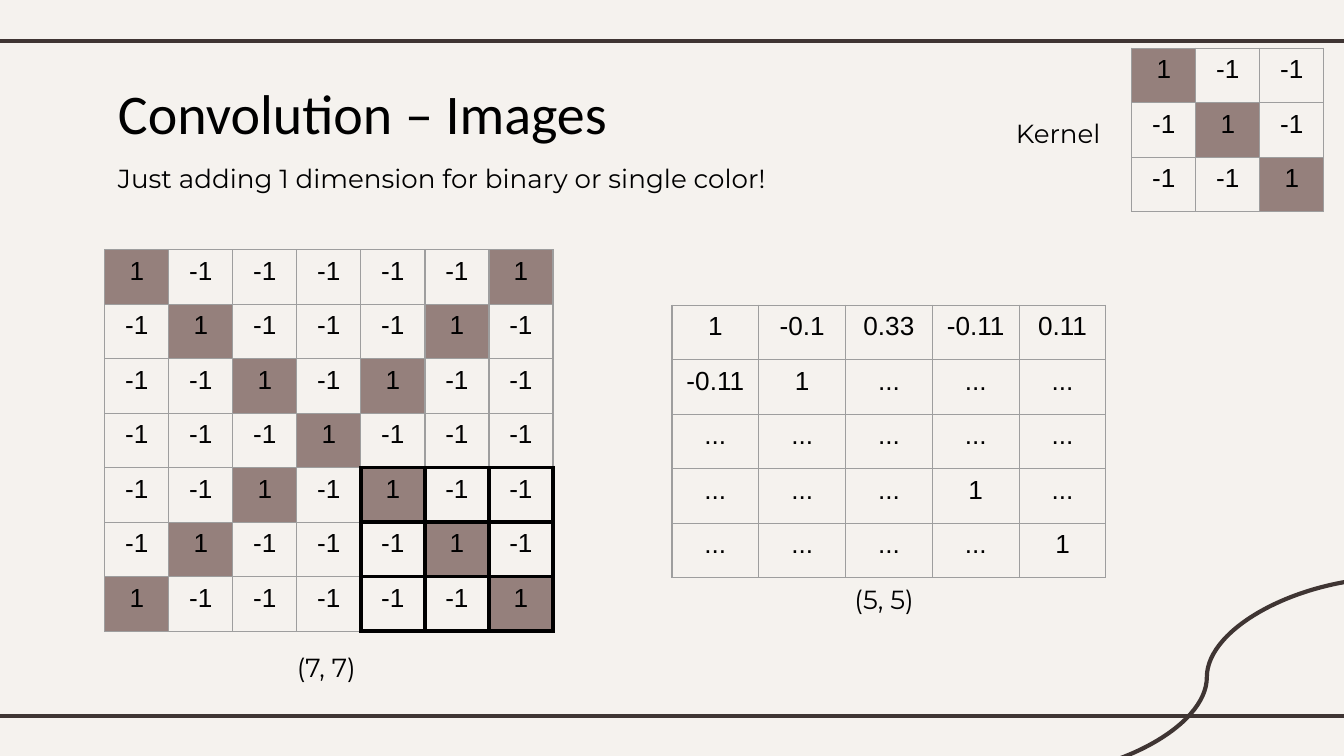
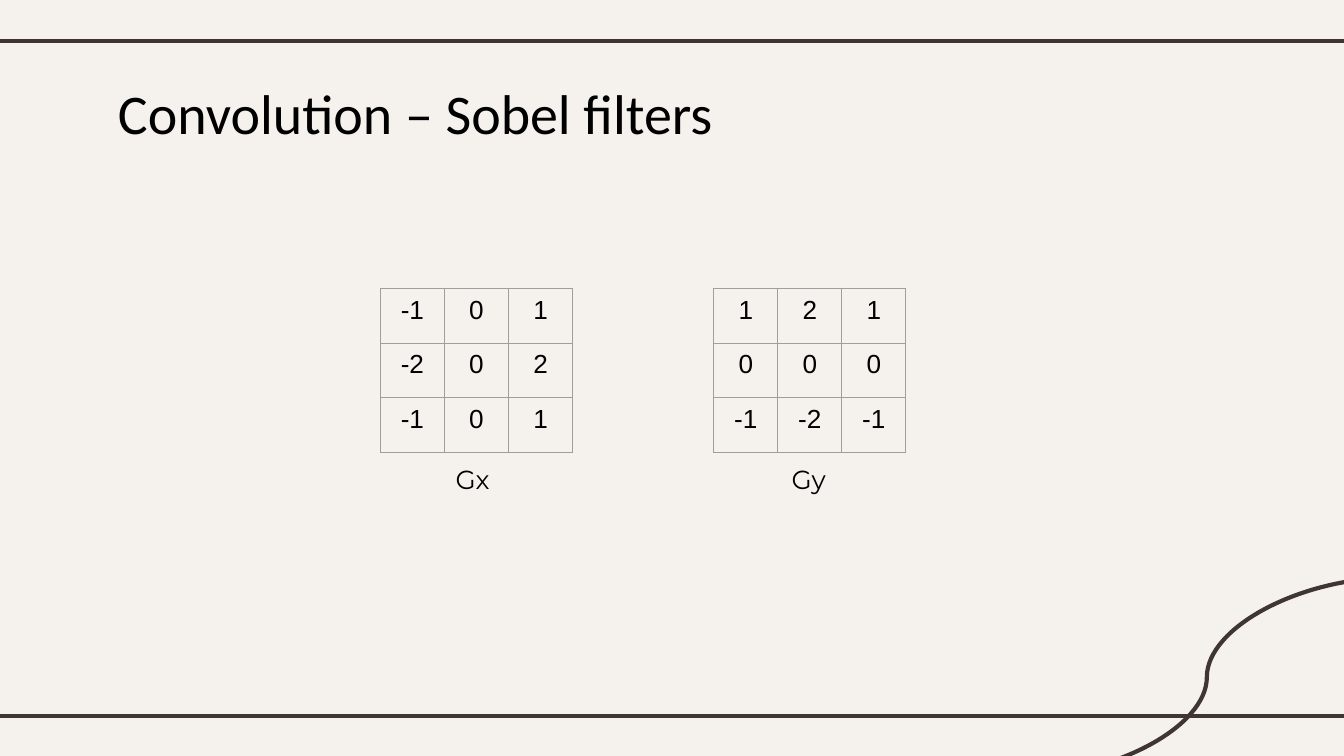
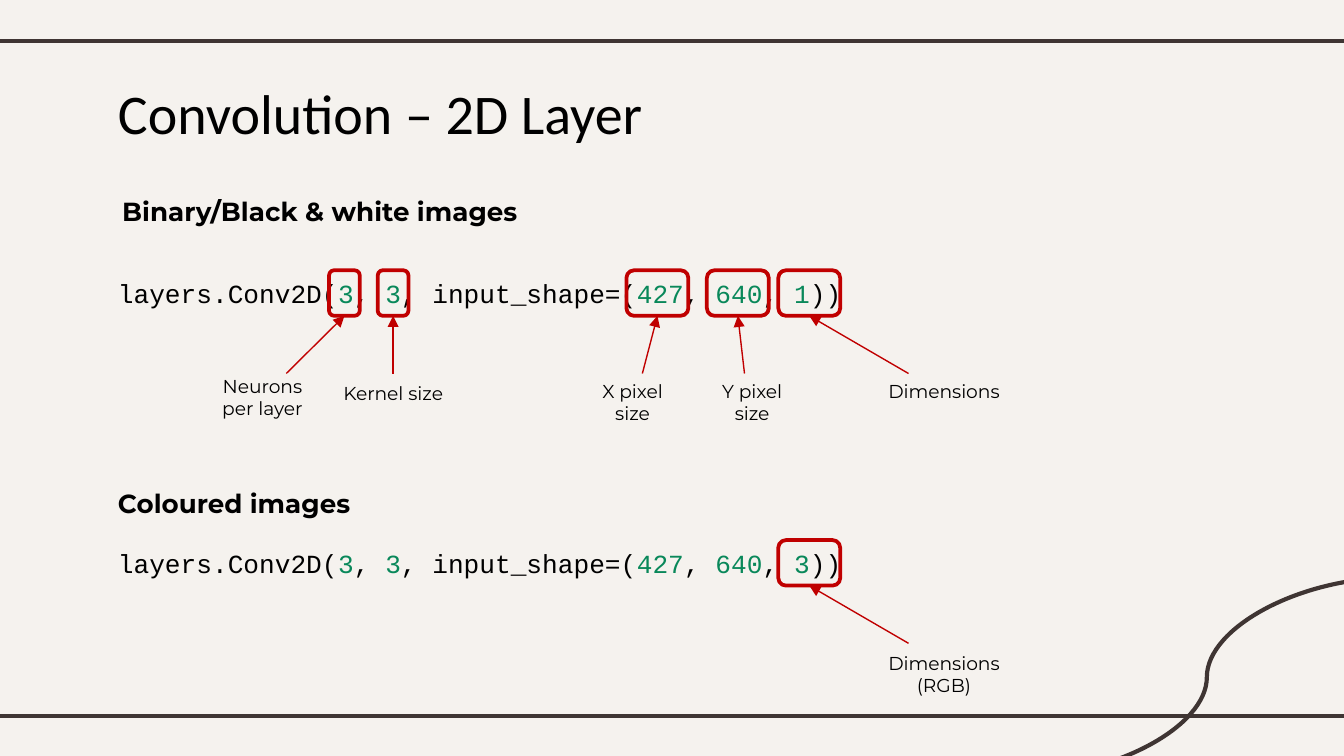
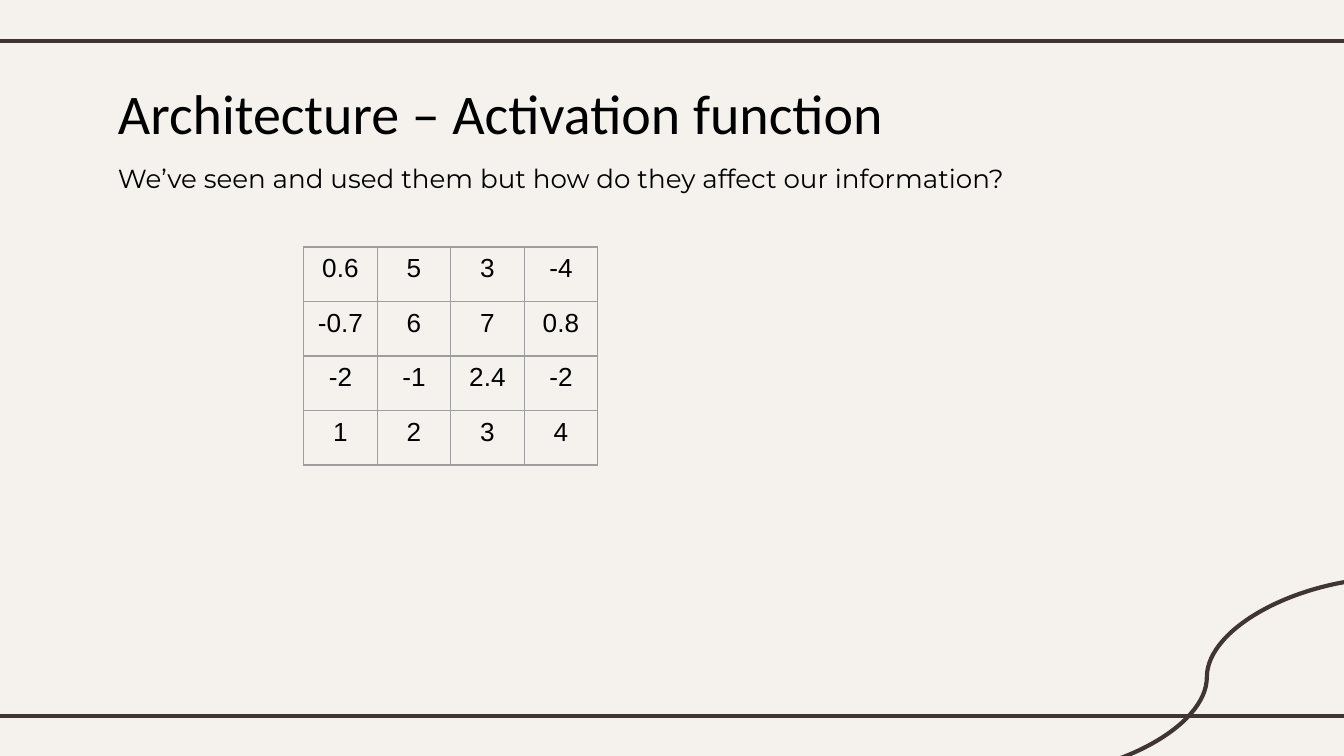
import pptx
import pptx.dml.color
import pptx.enum.shapes
import pptx.enum.text
import pptx.oxml
import pptx.oxml.ns
import pptx.util

Cm = pptx.util.Cm
Pt = pptx.util.Pt
CONNECTOR = pptx.enum.shapes.MSO_CONNECTOR
ALIGN = pptx.enum.text.PP_ALIGN

PAPER, FRAME, INK = "F5F2EE", "3F3533", "000000"
GRID, ACTIVE, MARK, NUMBER = "9E9E9E", "95807C", "C00000", "09885A"
TITLE_FONT, BODY_FONT, CELL_FONT, CODE_FONT = "Calibri", "Montserrat", "Arial", "Courier New"

LEFT = 1.98
INSET = 0.25
CELL_WIDTH, CELL_HEIGHT = 1.21, 1.03
MARK_HEIGHT = 0.86
ARROW_START = 1.95  # from the top of a code line down to the foot of its arrows


def color(hex_text):
    return pptx.dml.color.RGBColor.from_string(hex_text)


def xml(text):
    """Parse one element of the drawing namespace."""
    head, rest = text.split(" ", 1)
    return pptx.oxml.parse_xml(f"{head} {pptx.oxml.ns.nsdecls('a')} {rest}")


class Lecture:
    def __init__(self):
        self.deck = pptx.Presentation()
        self.deck.slide_width, self.deck.slide_height = Cm(25.4), Cm(14.29)
        fill = self.deck.slide_master.background.fill
        fill.solid()
        fill.fore_color.rgb = color(PAPER)
        self.page = None

    def new_page(self, title):
        self.page = self.deck.slides.add_slide(self.deck.slide_layouts[5])
        for y in (0.77, 13.54):
            self.line((-0.2, y), (25.6, y), FRAME, 2.25)
        self.line((26.34, 10.92), (19.28, 14.68), FRAME, 2.25, CONNECTOR.CURVE)
        box = self.page.shapes.title
        box.left, box.top, box.width, box.height = Cm(LEFT), Cm(1.24), Cm(19.63), Cm(1.6)
        self.fill_frame(box.text_frame, [(title, INK)], TITLE_FONT, 30)

    def add_span(self, para, text, font, size, hex_text=INK, bold=False):
        span = para.add_run()
        span.text = text
        span.font.name, span.font.size, span.font.bold = font, Pt(size), bold
        span.font.color.rgb = color(hex_text)

    def fill_frame(self, frame, spans, font, size, bold=False, align=ALIGN.LEFT, inset=INSET):
        """Set the frame's margins and write (text, colour) spans into its paragraph."""
        frame.word_wrap = True
        frame.auto_size = pptx.enum.text.MSO_AUTO_SIZE.NONE
        frame.vertical_anchor = pptx.enum.text.MSO_ANCHOR.TOP
        frame.margin_left = frame.margin_right = Cm(INSET)
        frame.margin_top = frame.margin_bottom = Cm(inset)
        para = frame.paragraphs[0]
        para.alignment = align
        for text, hex_text in spans:
            self.add_span(para, text, font, size, hex_text, bold)

    def text(self, text, left, top, width, height, size=14, bold=False, align=ALIGN.LEFT):
        box = self.page.shapes.add_textbox(Cm(left), Cm(top), Cm(width), Cm(height))
        self.fill_frame(box.text_frame, [(text, INK)], BODY_FONT, size, bold, align)

    def code(self, pieces, top):
        """Write a line of code with its numbers coloured."""
        box = self.page.shapes.add_textbox(Cm(LEFT), Cm(top), Cm(21.56), Cm(MARK_HEIGHT))
        spans = [(piece, NUMBER if piece.isdigit() else INK) for piece in pieces]
        self.fill_frame(box.text_frame, spans, CODE_FONT, 14, inset=0.13)

    def line(self, start, end, hex_text, width, kind=CONNECTOR.STRAIGHT, arrow=False):
        connector = self.page.shapes.add_connector(kind, *map(Cm, start + end))
        connector.line.color.rgb = color(hex_text)
        connector.line.width = Pt(width)
        if arrow:
            connector.line._get_or_add_ln().append(xml('<a:tailEnd type="triangle"/>'))
        connector.element.spPr.append(xml("<a:effectLst />"))

    def table(self, rows, left, top, width=CELL_WIDTH, active=None, border=GRID, weight=0.75):
        """Draw a grid of values; cells equal to active are shaded."""
        count = len(rows[0])
        grid = self.page.shapes.add_table(
            len(rows), count, Cm(left), Cm(top),
            Cm(width * count), Cm(CELL_HEIGHT * len(rows))).table
        grid.first_row = grid.horz_banding = False
        for column in grid.columns:
            column.width = Cm(width)
        for y, values in enumerate(rows):
            grid.rows[y].height = Cm(CELL_HEIGHT)
            for x, value in enumerate(values):
                self.fill_cell(grid.cell(y, x), value, value and value == active, border, weight)

    def fill_cell(self, cell, value, shaded, border, weight):
        cell.margin_bottom = 0
        properties = cell._tc.get_or_add_tcPr()
        for side in "LRTB":
            properties.append(xml(
                f'<a:ln{side} w="{Pt(weight)}"><a:solidFill><a:srgbClr val="{border}"/>'
                f'</a:solidFill></a:ln{side}>'))
        if shaded:
            cell.fill.solid()
            cell.fill.fore_color.rgb = color(ACTIVE)
        else:
            cell.fill.background()
        if value:
            para = cell.text_frame.paragraphs[0]
            para.alignment = ALIGN.CENTER
            self.add_span(para, value, CELL_FONT, 14)

    def callout(self, code_top, mark_left, mark_width, arrow_x, label, label_box):
        """Frame part of a code line and point to it from a label."""
        mark = self.page.shapes.add_shape(
            pptx.enum.shapes.MSO_SHAPE.ROUNDED_RECTANGLE,
            Cm(mark_left), Cm(code_top), Cm(mark_width), Cm(MARK_HEIGHT))
        mark.shadow.inherit = False
        mark.fill.background()
        mark.line.color.rgb = color(MARK)
        mark.line.width = Pt(2)
        self.line((arrow_x, code_top + ARROW_START),
                  (mark_left + mark_width / 2, code_top + MARK_HEIGHT), MARK, 0.75, arrow=True)
        self.text(label, *label_box, size=10, align=ALIGN.CENTER)


def cross(size, both=False):
    """Rows of -1 with 1 on the main diagonal, or on both diagonals."""
    return [["1" if x == y or both and x + y == size - 1 else "-1" for x in range(size)]
            for y in range(size)]


def split_rows(text):
    return [row.split() for row in text.split("|")]


def images_page(lecture):
    lecture.new_page("Convolution – Images")
    lecture.text("Just adding 1 dimension for binary or single color!", LEFT, 2.82, 19.63, 1.45)
    image_top, window = 4.72, 4
    lecture.table(cross(7, both=True), LEFT, image_top, active="1")
    lecture.table(cross(3), 21.39, 0.91, active="1")
    lecture.text("Kernel", 18.95, 1.96, 2.13, 0.84)
    lecture.table([[""] * 3] * 3, LEFT + window * CELL_WIDTH, image_top + window * CELL_HEIGHT,
                  border=INK, weight=2.25)
    lecture.table(split_rows("1 -0.1 0.33 -0.11 0.11 | -0.11 1 ... ... ... | ... ... ... ... ... |"
                             "... ... ... 1 ... | ... ... ... ... 1"), 12.7, 5.77, width=1.64)
    lecture.text("(7, 7)", 5.36, 12.07, 1.7, 0.81)
    lecture.text("(5, 5)", 15.9, 10.77, 1.78, 0.81)


def sobel_page(lecture):
    lecture.new_page("Convolution – Sobel filters")
    for name, values, left, name_left in (
            ("Gx", "-1 0 1 | -2 0 2 | -1 0 1", 7.19, 8.36),
            ("Gy", "1 2 1 | 0 0 0 | -1 -2 -1", 13.49, 14.71)):
        lecture.table(split_rows(values), left, 5.46)
        lecture.text(name, name_left, 8.51, 1.24, 1.02)


def layer_page(lecture):
    lecture.new_page("Convolution – 2D Layer")
    call = ["layers.Conv2D(", "3", ", ", "3", ", input_shape=(", "427", ", ", "640", ", "]
    binary_top, coloured_top = 5.11, 10.21
    narrow, wide = 0.58, 1.17

    lecture.code(call + ["1", "))"], binary_top)
    for parts in (
            (6.22, narrow, 5.41, "Neurons per layer", (3.73, 6.83, 2.46, 1.12)),
            (7.14, narrow, 7.43, "Kernel size", (6.2, 6.96, 2.46, 0.99)),
            (11.84, wide, 12.14, "X pixel size", (10.9, 6.93, 2.11, 0.99)),
            (13.36, wide, 14.07, "Y pixel size", (13.16, 6.93, 2.11, 0.99)),
            (14.71, wide, 17.17, "Dimensions", (16.48, 6.93, 2.72, 0.99))):
        lecture.callout(binary_top, *parts)

    lecture.code(call + ["3", "))"], coloured_top)
    lecture.callout(coloured_top, 14.71, wide, 17.17, "Dimensions (RGB)",
                    (16.48, 12.07, 2.72, 0.99))

    lecture.text("Binary/Black & white images", 2.06, 3.45, 8.64, 0.81, bold=True)
    lecture.text("Coloured images", LEFT, 8.97, 8.64, 0.81, bold=True)


def activation_page(lecture):
    lecture.new_page("Architecture – Activation function")
    lecture.table(split_rows("0.6 5 3 -4 | -0.7 6 7 0.8 | -2 -1 2.4 -2 | 1 2 3 4"),
                  5.74, 4.67, width=1.39)
    lecture.text("We’ve seen and used them but how do they affect our information?",
                 LEFT, 2.82, 18.67, 1.6)


def main():
    lecture = Lecture()
    for build in (images_page, sobel_page, layer_page, activation_page):
        build(lecture)
    lecture.deck.save("out.pptx")


if __name__ == "__main__":
    main()
